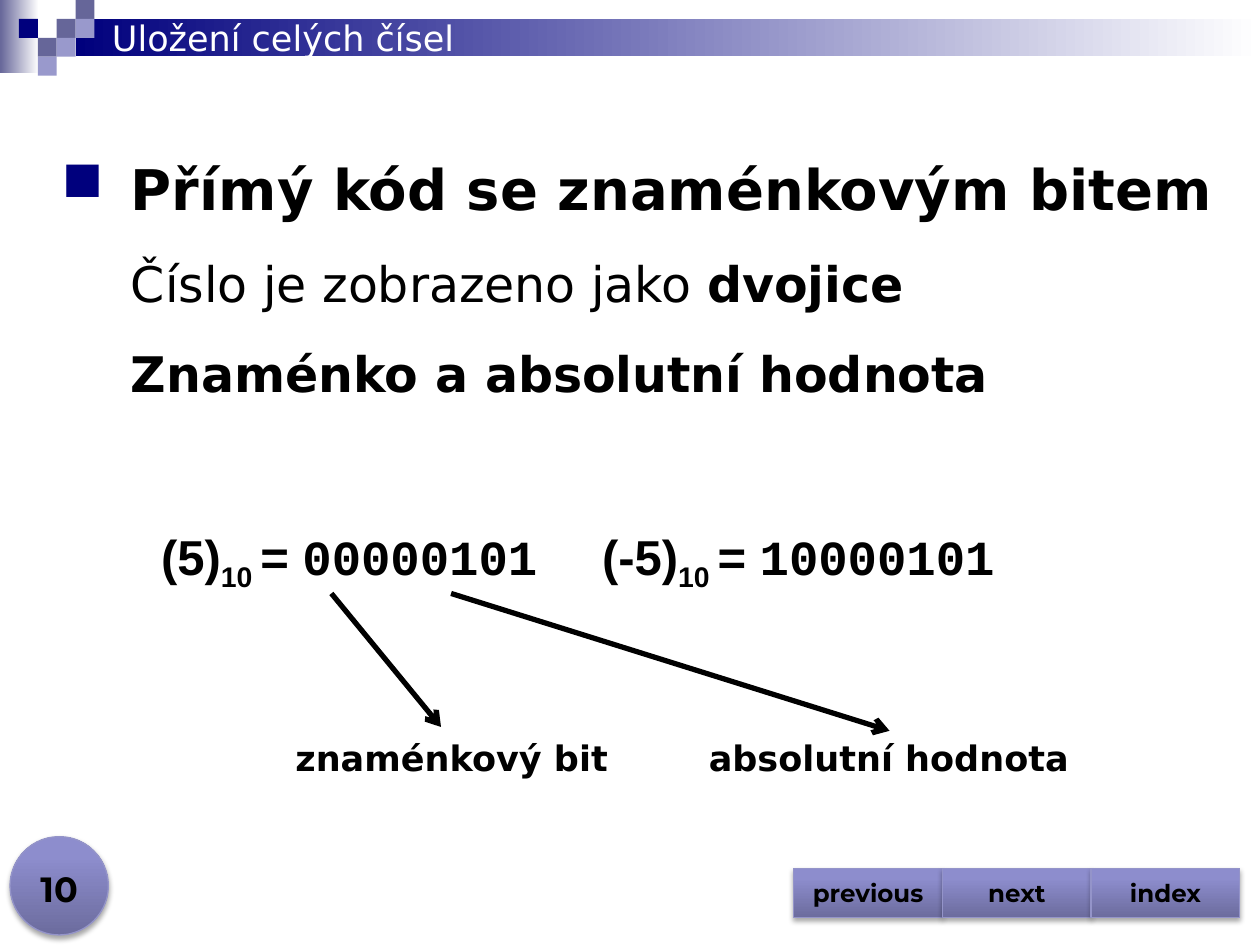
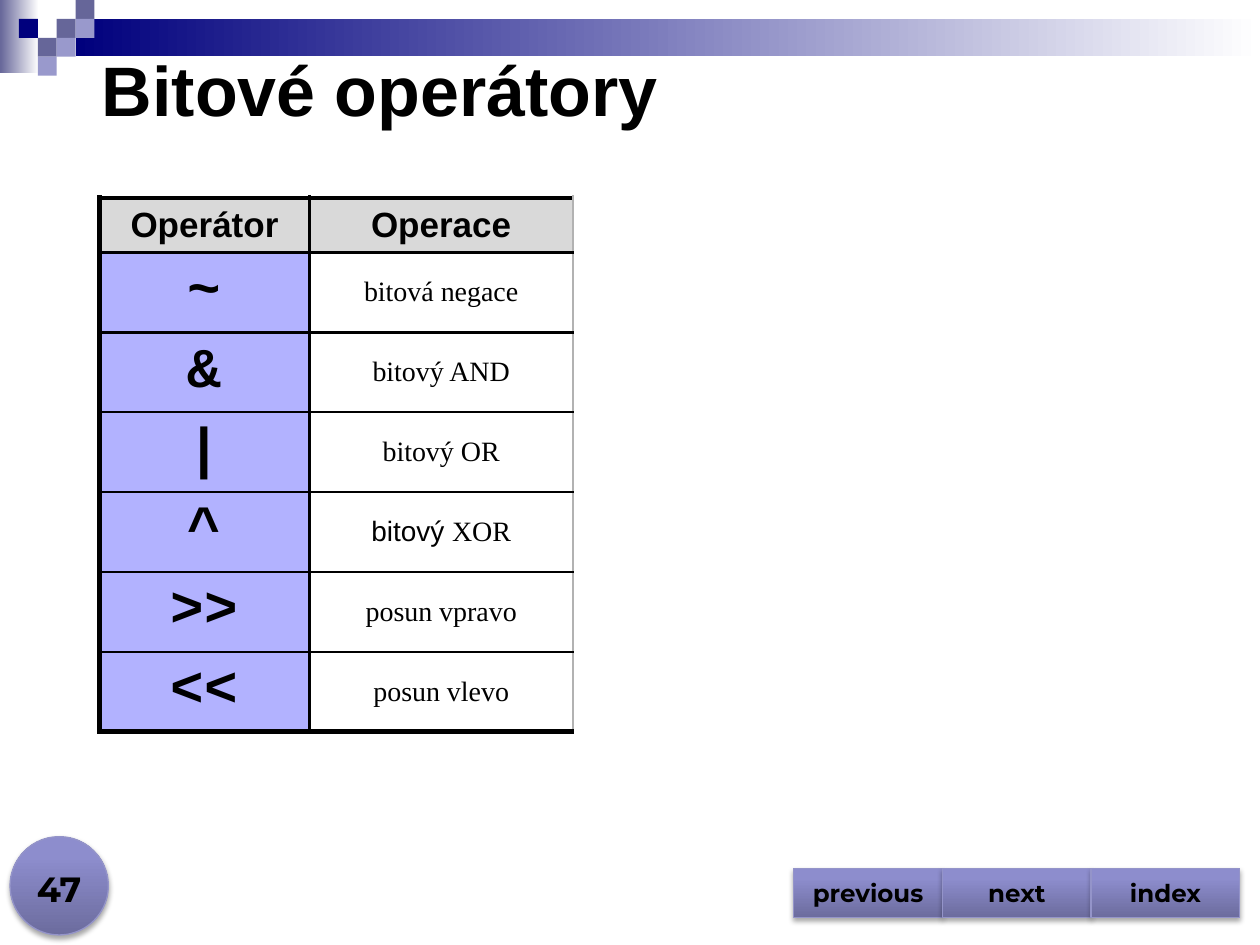
"""Build two slides on signed integer storage and bitwise operators."""
import lxml.etree
import pptx
import pptx.dml.color
import pptx.enum.shapes
import pptx.enum.text
import pptx.oxml
import pptx.oxml.ns
import pptx.util

Pt = pptx.util.Pt
Shape = pptx.enum.shapes.MSO_SHAPE
Align = pptx.enum.text.PP_ALIGN
Anchor = pptx.enum.text.MSO_ANCHOR
qn = pptx.oxml.ns.qn

BLACK, WHITE, NAVY, SLATE, LILAC = "000000", "FFFFFF", "00007D", "666699", "9999CC"
HEADER_FILL, OPERATOR_FILL, BUTTON_LINE, TABLE_EDGE = "D9D9D9", "B2B2FF", "9494C9", "B2B2B2"
BUTTON_STOPS = [(0, "6C6C9E"), (80, "8D8DCD"), (100, "8C8CCF")]
SANS, WIDE, MONO, SERIF, FOOTER = "Arial", "DejaVu Sans", "Courier New", "Times New Roman", "Montserrat"

SQUARE = 10.8
SQUARES = [(3, 1, SLATE), (4, 0, SLATE), (4, 1, LILAC), (2, 2, SLATE),
           (1, 1, NAVY), (3, 2, LILAC), (2, 3, LILAC)]
BUTTONS = ["previous", "next", "index"]
BUTTON_LEFT, BUTTON_WIDTH = 453.6, 84.96

BODY = [
    {"size": 32, "after": 18, "bullet": "■", "spans": [("Přímý kód se znaménkovým bitem", True)]},
    {"size": 28, "after": 18, "spans": [("Číslo je zobrazeno jako ", False), ("dvojice", True)]},
    {"size": 28, "after": 12, "spans": [("Znaménko a absolutní hodnota", True)]},
]
NUMBERS = [("(5)", "00000101 \t"), ("(-5)", "10000101")]
LABELS = [("znaménkový bit", 144.72), ("absolutní hodnota", 394.56)]
ARROWS = [((189.36, 339.12), (252, 415.44)), ((257.76, 339.12), (508.32, 417.6))]

HEADINGS = ["Operátor", "Operace"]
OPERATORS = [
    ("~", [("bitová negace", SERIF)]),
    ("&", [("bitový AND", SERIF)]),
    ("|", [("bitový OR", SERIF)]),
    ("^", [("bitový ", SANS), ("XOR", SERIF)]),
    (">>", [("posun vpravo", SERIF)]),
    ("<<", [("posun vlevo", SERIF)]),
]
COLUMN_WIDTHS = [120, 150.48]
HEADER_HEIGHT, ROW_HEIGHT = 29.52, 43.5
COLUMN_EDGES = [(3, BLACK), (2.25, BLACK), (1, TABLE_EDGE)]
ROW_EDGES = [(weight, BLACK) for weight in (3, 2.25, 1.75, 1, 1, 1, 1, 3)]


def color(value):
    return pptx.dml.color.RGBColor.from_string(value)


def add_element(parent, tag, **attributes):
    return lxml.etree.SubElement(parent, qn(tag), attributes)


def add_span(para, text, size, font, bold=False, ink=BLACK):
    span = para.add_run()
    span.text = text
    span.font.size, span.font.name, span.font.bold = Pt(size), font, bold
    span.font.color.rgb = color(ink)
    return span


def add_box(page, left, top, width, height, anchor=Anchor.TOP, align=Align.LEFT):
    box = page.shapes.add_textbox(Pt(left), Pt(top), Pt(width), Pt(height))
    box.text_frame.word_wrap = True
    box.text_frame.vertical_anchor = anchor
    para = box.text_frame.paragraphs[0]
    para.alignment = align
    return box.text_frame, para


def add_plain(page, kind, left, top, width, height):
    shape = page.shapes.add_shape(kind, Pt(left), Pt(top), Pt(width), Pt(height))
    shape.shadow.inherit = False
    shape.line.fill.background()
    return shape


def set_gradient(shape, stops, angle):
    gradient = pptx.oxml.parse_xml(f'<a:gradFill {pptx.oxml.ns.nsdecls("a")} rotWithShape="1"/>')
    stop_list = add_element(gradient, "a:gsLst")
    for percent, value in stops:
        stop = add_element(stop_list, "a:gs", pos=str(percent * 1000))
        add_element(stop, "a:srgbClr", val=value)
    add_element(gradient, "a:lin", ang=str(angle * 60000), scaled="0")
    shape.element.spPr.find(qn("a:prstGeom")).addnext(gradient)


def add_button(page, kind, left, top, width, height):
    button = add_plain(page, kind, left, top, width, height)
    set_gradient(button, BUTTON_STOPS, 270)
    button.line.color.rgb = color(BUTTON_LINE)
    button.line.width = Pt(0.75)
    effects = button.element.spPr.find(qn("a:effectLst"))
    shadow = add_element(effects, "a:outerShdw", blurRad=str(Pt(3.1)), dist=str(Pt(1.8)),
                         dir="5400000", rotWithShape="0")
    add_element(add_element(shadow, "a:srgbClr", val=BLACK), "a:alpha", val="35000")
    return button


def add_page(deck, number):
    page = deck.slides.add_slide(deck.slide_layouts[6])
    for left, top, width, height, start in [(0, 0, 22.32, 41.76, SLATE), (43.2, 10.8, 676.8, 21.4, NAVY)]:
        band = add_plain(page, Shape.RECTANGLE, left, top, width, height)
        set_gradient(band, [(0, start), (100, WHITE)], 0)
    for column, row, value in SQUARES:
        square = add_plain(page, Shape.RECTANGLE, column * SQUARE, row * SQUARE, SQUARE, SQUARE)
        square.fill.solid()
        square.fill.fore_color.rgb = color(value)
    add_button(page, Shape.OVAL, 5.76, 478.08, 56.16, 56.16)
    _, para = add_box(page, 0, 487.44, 67.68, 36, Anchor.BOTTOM, Align.CENTER)
    add_span(para, str(number), 20, FOOTER, True)
    for index, label in enumerate(BUTTONS):
        button = add_button(page, Shape.ACTION_BUTTON_CUSTOM, BUTTON_LEFT + index * BUTTON_WIDTH,
                            496.08, BUTTON_WIDTH, 28.08)
        button.text_frame.vertical_anchor = Anchor.MIDDLE
        para = button.text_frame.paragraphs[0]
        para.alignment = Align.CENTER
        add_span(para, label, 14, FOOTER, True)
    return page


def add_title(page, text, place, size, font, bold, ink):
    _, para = add_box(page, *place, Anchor.MIDDLE)
    add_span(para, text, size, font, bold, ink)


def add_body(page):
    frame, para = add_box(page, 28.08, 84.96, 691.92, 150.48)
    for index, item in enumerate(BODY):
        if index:
            para = frame.add_paragraph()
        para.space_after = Pt(item["after"])
        properties = para._p.get_or_add_pPr()
        properties.set("marL", str(Pt(39.6)))
        properties.set("indent", str(Pt(-39.6 if "bullet" in item else 0)))
        if "bullet" in item:
            add_element(add_element(properties, "a:buClr"), "a:srgbClr", val=NAVY)
            add_element(properties, "a:buChar", char=item["bullet"])
        for text, bold in item["spans"]:
            add_span(para, text, item["size"], WIDE, bold)


def add_example(page):
    _, para = add_box(page, 84.96, 297.36, 632.16, 41.04)
    for decimal, bits in NUMBERS:
        add_span(para, decimal, 28, SANS, True)
        base = add_span(para, "10 ", 28, SANS, True)
        base._r.get_or_add_rPr().set("baseline", "-25000")
        add_span(para, "= ", 28, SANS, True)
        add_span(para, bits, 28, MONO, True)
    for label, left in LABELS:
        _, para = add_box(page, left, 417.6, 226.8, 31.68, align=Align.CENTER)
        add_span(para, label, 20, WIDE, True)
    for start, end in ARROWS:
        arrow = page.shapes.add_connector(pptx.enum.shapes.MSO_CONNECTOR.STRAIGHT,
                                          *map(Pt, start + end))
        arrow.line.color.rgb = color(BLACK)
        arrow.line.width = Pt(3)
        add_element(arrow.line._get_or_add_ln(), "a:tailEnd", type="arrow")
        add_element(arrow.element.spPr, "a:effectLst")


def set_borders(cell, row, column):
    edges = [("L", COLUMN_EDGES[column]), ("R", COLUMN_EDGES[column + 1]),
             ("T", ROW_EDGES[row]), ("B", ROW_EDGES[row + 1])]
    properties = cell._tc.get_or_add_tcPr()
    for index, (side, (weight, value)) in enumerate(edges):
        line = add_element(properties, f"a:ln{side}", w=str(Pt(weight)))
        add_element(add_element(line, "a:solidFill"), "a:srgbClr", val=value)
        properties.insert(index, line)


def add_operator_table(page):
    rows = [[[(text, 20, SANS, True)] for text in HEADINGS]]
    for symbol, meaning in OPERATORS:
        rows.append([[(symbol, 32, MONO, True)], [(text, 16, font, False) for text, font in meaning]])
    heights = [HEADER_HEIGHT] + [ROW_HEIGHT] * len(OPERATORS)
    table = page.shapes.add_table(len(rows), len(COLUMN_WIDTHS), Pt(56.88), Pt(113.04),
                                  Pt(sum(COLUMN_WIDTHS)), Pt(sum(heights))).table
    table.first_row = table.horz_banding = False
    for column, width in enumerate(COLUMN_WIDTHS):
        table.columns[column].width = Pt(width)
    for row, height in enumerate(heights):
        table.rows[row].height = Pt(height)
        for column, spans in enumerate(rows[row]):
            cell = table.cell(row, column)
            cell.vertical_anchor = Anchor.MIDDLE
            if row and column:
                cell.fill.background()
            else:
                cell.fill.solid()
                cell.fill.fore_color.rgb = color(OPERATOR_FILL if row else HEADER_FILL)
            set_borders(cell, row, column)
            para = cell.text_frame.paragraphs[0]
            para.alignment = Align.CENTER
            for span in spans:
                add_span(para, *span)


def main():
    deck = pptx.Presentation()
    deck.slide_width, deck.slide_height = Pt(720), Pt(540)

    storage = add_page(deck, 10)
    add_title(storage, "Uložení celých čísel", (56.88, 5.76, 612, 31.68), 20, WIDE, False, WHITE)
    add_body(storage)
    add_example(storage)

    operators = add_page(deck, 47)
    add_title(operators, "Bitové operátory", (51.12, 22.32, 639.36, 56.88), 40, SANS, True, BLACK)
    add_operator_table(operators)

    deck.save("out.pptx")


if __name__ == "__main__":
    main()
